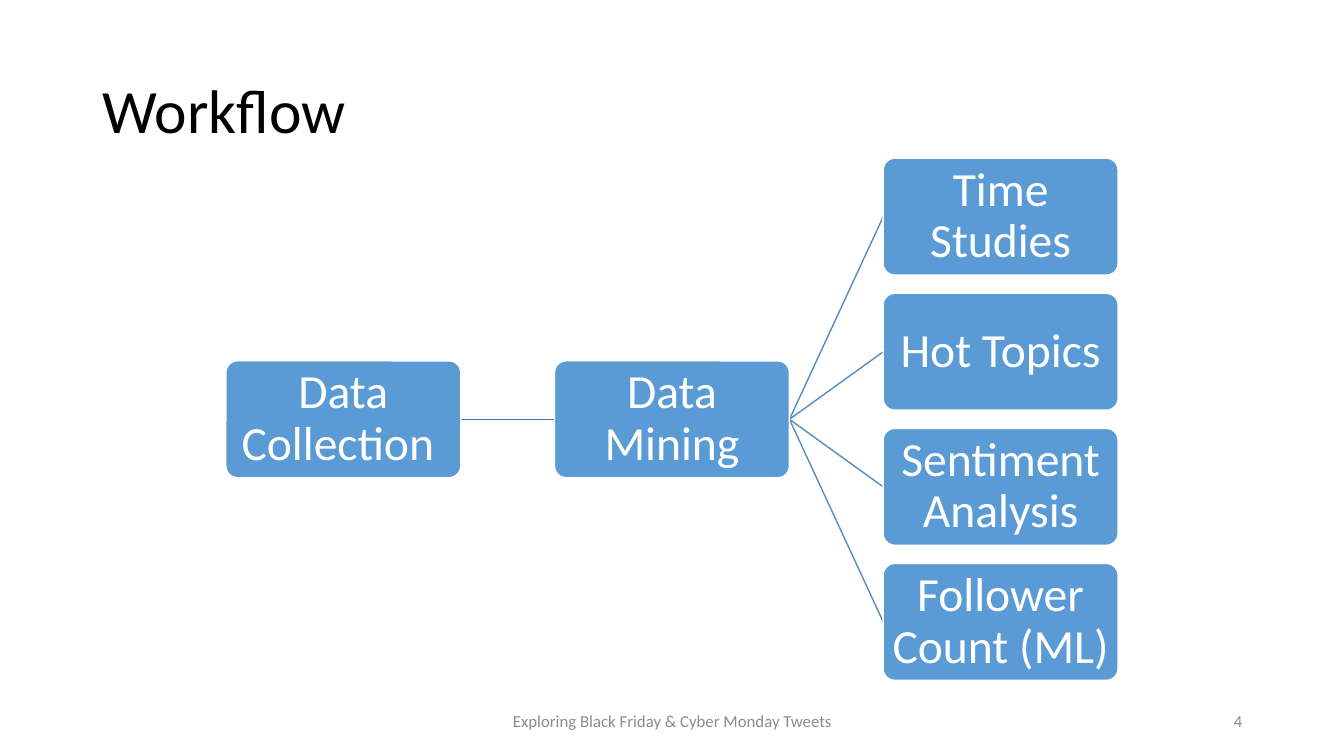
"""Build the Workflow slide: linked steps fanning out into four analyses."""
from dataclasses import dataclass

import lxml.etree
import pptx
import pptx.dml.color
import pptx.enum.shapes
import pptx.enum.text
import pptx.oxml.ns
import pptx.util

Inches = pptx.util.Inches
Align = pptx.enum.text.PP_ALIGN

FONT = "Calibri"
BOX_WIDTH, BOX_HEIGHT = 2.33, 1.16
COLUMN_LEFT, COLUMN_PITCH = 2.24, 3.26
ROW_PITCH = 1.34
MIDDLE = 4.16


@dataclass(frozen=True)
class Step:
    text: str
    column: int
    row: float = 0

    @property
    def left(self) -> float:
        return COLUMN_LEFT + self.column * COLUMN_PITCH

    @property
    def right(self) -> float:
        return self.left + BOX_WIDTH

    @property
    def center(self) -> float:
        return MIDDLE + self.row * ROW_PITCH


@dataclass(frozen=True)
class Label:
    text: str
    left: float
    top: float
    width: float
    height: float
    size: int
    color: str
    alignment: Align
    line_spacing: float = 1.0


COLLECTION = Step("Data Collection ", 0)
MINING = Step("Data Mining", 1)
ANALYSES = [
    Step(text, 2, index - 1.5)
    for index, text in enumerate(
        ["Time Studies", "Hot Topics", "Sentiment Analysis", "Follower Count (ML)"]
    )
]
LABELS = [
    Label("Workflow", 0.92, 0.4, 11.5, 1.45, 44, "000000", Align.LEFT, 0.9),
    Label("Exploring Black Friday & Cyber Monday Tweets",
          4.42, 6.95, 4.5, 0.4, 12, "8C8C8C", Align.CENTER),
    Label("4", 9.42, 6.95, 3, 0.4, 12, "8C8C8C", Align.RIGHT),
]


def rgb(color: str) -> pptx.dml.color.RGBColor:
    return pptx.dml.color.RGBColor.from_string(color)


def write_text(shape, text: str, size: int, color: str, alignment: Align,
               line_spacing: float) -> None:
    frame = shape.text_frame
    frame.word_wrap = True
    frame.vertical_anchor = pptx.enum.text.MSO_ANCHOR.MIDDLE
    paragraph = frame.paragraphs[0]
    paragraph.text = text
    paragraph.alignment = alignment
    paragraph.line_spacing = line_spacing
    paragraph.font.name = FONT
    paragraph.font.size = pptx.util.Pt(size)
    paragraph.font.color.rgb = rgb(color)


def draw_label(slide, label: Label) -> None:
    shape = slide.shapes.add_textbox(
        Inches(label.left), Inches(label.top), Inches(label.width), Inches(label.height)
    )
    write_text(shape, label.text, label.size, label.color, label.alignment, label.line_spacing)


def draw_step(slide, step: Step) -> None:
    shape = slide.shapes.add_shape(
        pptx.enum.shapes.MSO_SHAPE.ROUNDED_RECTANGLE,
        Inches(step.left), Inches(step.center - BOX_HEIGHT / 2),
        Inches(BOX_WIDTH), Inches(BOX_HEIGHT),
    )
    shape.adjustments[0] = 0.1
    shape.shadow.inherit = False
    shape.fill.solid()
    shape.fill.fore_color.rgb = rgb("5B9BD5")
    shape.line.color.rgb = rgb("FFFFFF")
    shape.line.width = pptx.util.Pt(1)
    frame = shape.text_frame
    frame.margin_left = frame.margin_right = Inches(0.02)
    frame.margin_top = frame.margin_bottom = Inches(0.02)
    write_text(shape, step.text, 34, "FFFFFF", Align.CENTER, 0.9)


def draw_link(slide, source: Step, target: Step, color: str) -> None:
    connector = slide.shapes.add_connector(
        pptx.enum.shapes.MSO_CONNECTOR.STRAIGHT,
        Inches(source.right), Inches(source.center),
        Inches(target.left), Inches(target.center),
    )
    connector.line.color.rgb = rgb(color)
    connector.line.width = pptx.util.Pt(1)
    properties = connector.element.spPr
    lxml.etree.SubElement(properties, pptx.oxml.ns.qn("a:effectLst"))


def main() -> None:
    presentation = pptx.Presentation()
    presentation.slide_width = Inches(13.33)
    presentation.slide_height = Inches(7.5)
    slide = presentation.slides.add_slide(presentation.slide_layouts[6])
    draw_link(slide, COLLECTION, MINING, "497CAB")
    for analysis in ANALYSES:
        draw_link(slide, MINING, analysis, "538DC1")
    for step in [COLLECTION, MINING, *ANALYSES]:
        draw_step(slide, step)
    for label in LABELS:
        draw_label(slide, label)
    presentation.save("out.pptx")


if __name__ == "__main__":
    main()
